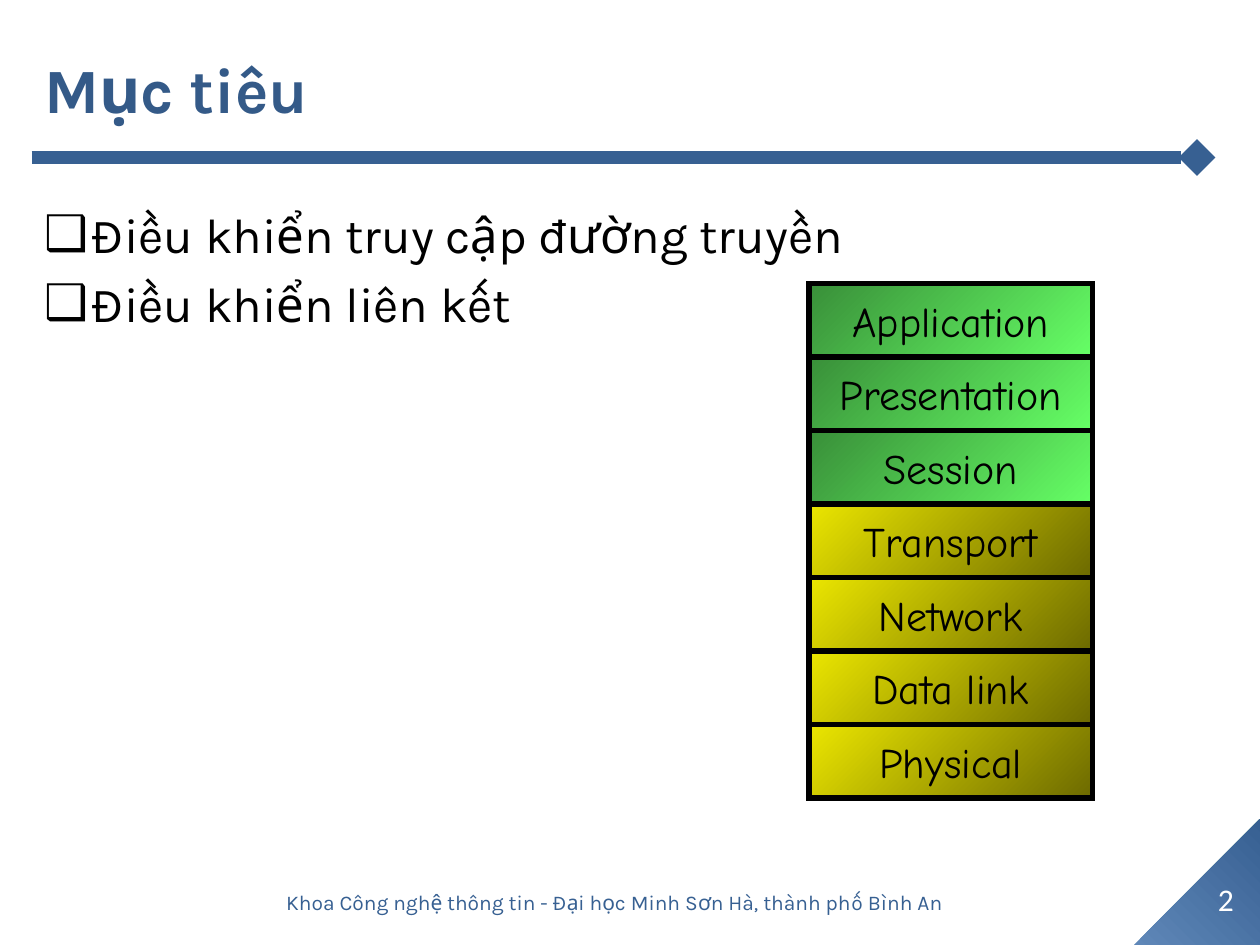
from lxml.etree import SubElement as add_node
from pptx import Presentation
from pptx.dml.color import RGBColor
from pptx.enum.shapes import MSO_CONNECTOR as Connector, MSO_SHAPE as Shape
from pptx.enum.text import MSO_ANCHOR as Anchor, MSO_AUTO_SIZE as AutoSize, PP_ALIGN as Align
from pptx.oxml.ns import qn
from pptx.util import Inches, Pt

WIDTH, HEIGHT = Inches(10), Inches(7.5)
BLACK = RGBColor(0x00, 0x00, 0x00)
WHITE = RGBColor(0xFF, 0xFF, 0xFF)
BLUE = RGBColor(0x37, 0x60, 0x92)
LIGHT_BLUE = RGBColor(0x5F, 0x87, 0xB8)
TITLE_BLUE = RGBColor(0x34, 0x5A, 0x88)
GREENS = (RGBColor(0x39, 0x8F, 0x39), RGBColor(0x66, 0xFF, 0x66))
YELLOWS = (RGBColor(0xEB, 0xE6, 0x00), RGBColor(0x6D, 0x6A, 0x00))

TITLE_FONT = {"name": "Karla", "size": Pt(36), "bold": True}
BODY_FONT = {"name": "Karla", "size": Pt(28)}
LAYER_FONT = {"name": "Comic Neue", "size": Pt(24)}
NUMBER_FONT = {"name": "Calibri", "size": Pt(18)}
FOOTER_FONT = {"name": "Karla", "size": Pt(12)}

GOALS = ["Điều khiển truy cập đường truyền", "Điều khiển liên kết"]
UPPER_LAYERS = ["Application", "Presentation", "Session"]
LOWER_LAYERS = ["Transport", "Network", "Data link", "Physical"]
FOOTER = "Khoa Công nghệ thông tin - Đại học Minh Sơn Hà, thành phố Bình An"


def place(left, top, width, height):
    """Turn shares of the slide's size into lengths."""
    return [int(share * side) for share, side in
            zip((left, top, width, height), (WIDTH, HEIGHT, WIDTH, HEIGHT))]


def write(frame, lines, font, color, align, anchor=Anchor.MIDDLE, wrap=True):
    """Fill a text frame with one paragraph per line."""
    frame.text = "\n".join(lines)
    for name, value in {"word_wrap": wrap, "vertical_anchor": anchor,
                        "auto_size": AutoSize.NONE}.items():
        setattr(frame, name, value)
    for para in frame.paragraphs:
        para.alignment = align
        for span in para.runs:
            for name, value in font.items():
                setattr(span.font, name, value)
            span.font.color.rgb = color


def fill_placeholder(holder, area, *text):
    """Move a placeholder and write its text."""
    for name, value in zip(("left", "top", "width", "height"), place(*area)):
        setattr(holder, name, value)
    write(holder.text_frame, *text)


def add_bullets(frame):
    """Give each paragraph a hanging box bullet."""
    for para in frame.paragraphs:
        props = para._p.get_or_add_pPr()
        props.set("marL", str(Inches(0.38)))
        props.set("indent", str(-Inches(0.38)))
        add_node(props, qn("a:buFont"), typeface="Karla")
        add_node(props, qn("a:buChar"), char="❑")


def add_gradient_shape(slide, kind, area, colors):
    """Draw a shape with a diagonal gradient and no line."""
    shape = slide.shapes.add_shape(kind, *place(*area))
    shape.shadow.inherit = False
    shape.fill.gradient()
    shape.fill.gradient_angle = 315
    for stop, color, position in zip(shape.fill.gradient_stops, colors, (0, 1)):
        stop.color.rgb = color
        stop.position = position
    shape.line.fill.background()
    return shape


def add_rule(slide):
    """Draw the line under the title, ending in a diamond."""
    left, top, right, bottom = place(0.025, 1 / 6, 0.95, 1 / 6)
    rule = slide.shapes.add_connector(Connector.STRAIGHT, left, top, right, bottom)
    rule.line.color.rgb = BLUE
    rule.line.width = Pt(7)
    add_node(rule.line._get_or_add_ln(), qn("a:tailEnd"), type="diamond")
    add_node(rule._element.spPr, qn("a:effectLst"))


def add_layer(slide, row, name, colors):
    """Draw one layer of the stack at its row."""
    height = 7 / 90
    layer = add_gradient_shape(
        slide, Shape.RECTANGLE, (0.642, 0.3 + row * height, 0.225, height), colors)
    layer.line.color.rgb = BLACK
    layer.line.width = Pt(3)
    add_node(layer.line._get_or_add_ln(), qn("a:miter"), lim="800000")
    write(layer.text_frame, [name], LAYER_FONT, BLACK, Align.CENTER, wrap=False)


def add_label(slide, area, text, font, color):
    """Add a centred line of text."""
    box = slide.shapes.add_textbox(*place(*area))
    write(box.text_frame, [text], font, color, Align.CENTER)


def main():
    """Build the slide and save it."""
    deck = Presentation()
    deck.slide_width, deck.slide_height = WIDTH, HEIGHT
    slide = deck.slides.add_slide(deck.slide_layouts[1])
    corner = add_gradient_shape(
        slide, Shape.RIGHT_TRIANGLE, (0.9, 13 / 15, 0.1, 2 / 15), (LIGHT_BLUE, BLUE))
    corner.rotation = 270
    add_rule(slide)
    title, body = slide.placeholders
    fill_placeholder(title, (0.025, 0.01, 0.957, 1 / 6),
                     ["Mục tiêu"], TITLE_FONT, TITLE_BLUE, Align.LEFT)
    fill_placeholder(body, (0.025, 0.21, 0.942, 0.71),
                     GOALS, BODY_FONT, BLACK, Align.LEFT, Anchor.TOP)
    add_bullets(body.text_frame)
    for row, name in enumerate(UPPER_LAYERS + LOWER_LAYERS):
        add_layer(slide, row, name, GREENS if name in UPPER_LAYERS else YELLOWS)
    add_label(slide, (0.946, 0.925, 0.054, 0.053), "2", NUMBER_FONT, WHITE)
    add_label(slide, (0.125, 0.928, 0.725, 0.053), FOOTER, FOOTER_FONT, BLUE)
    deck.save("out.pptx")


if __name__ == "__main__":
    main()
